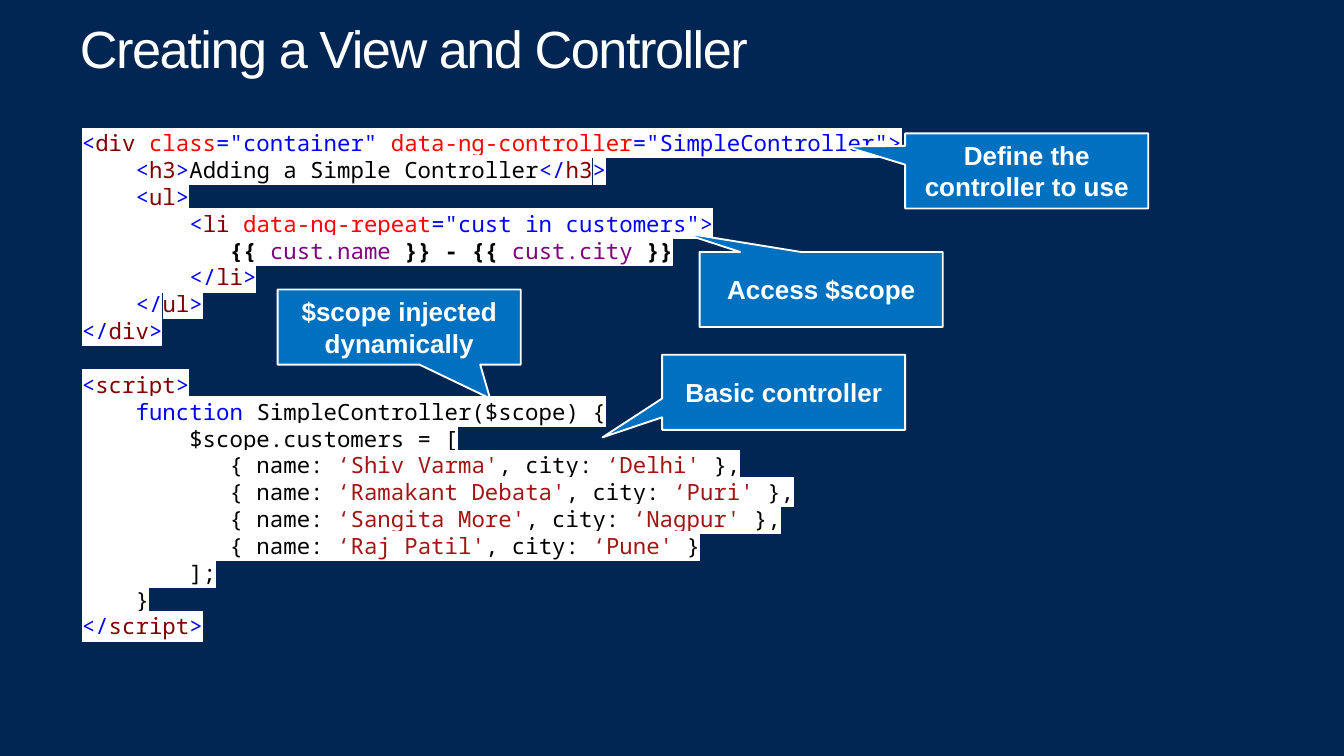
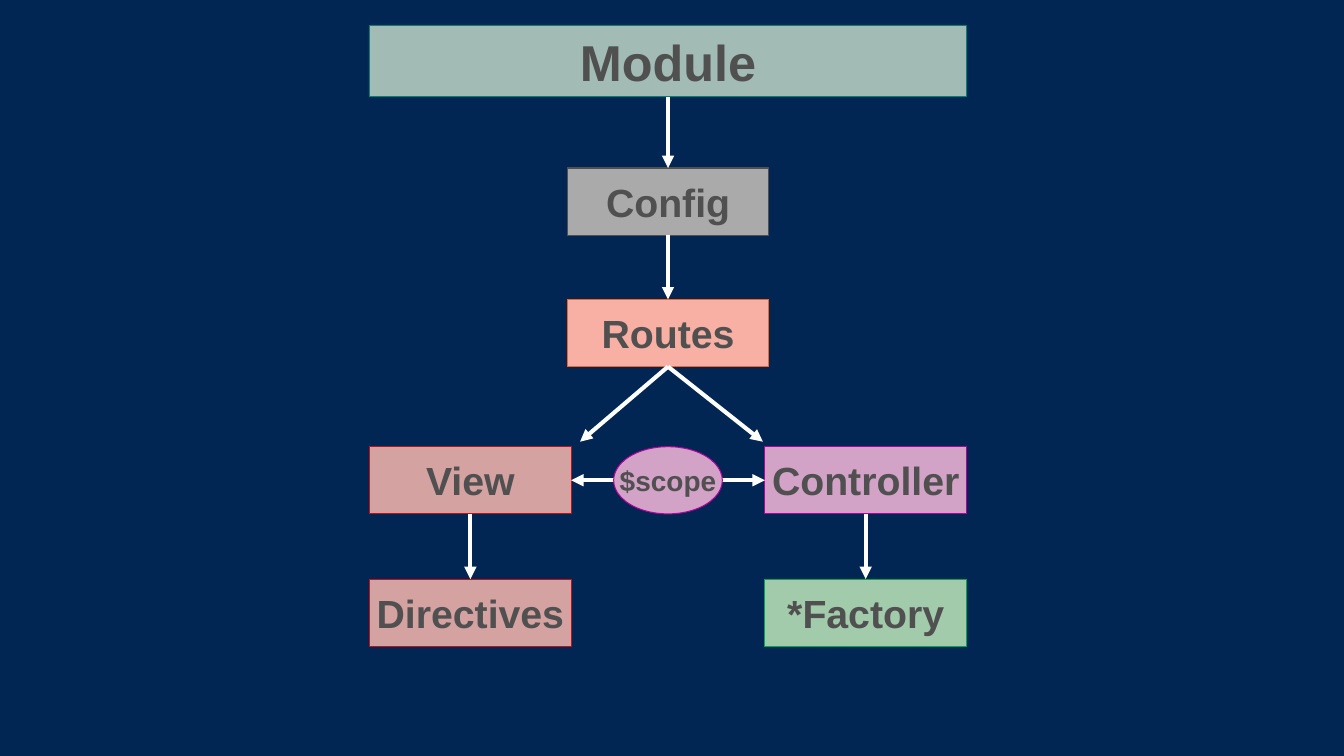
from lxml import etree
from pptx import Presentation
from pptx.dml.color import RGBColor
from pptx.enum.shapes import MSO_CONNECTOR, MSO_SHAPE
from pptx.enum.text import MSO_ANCHOR, PP_ALIGN
from pptx.oxml.ns import qn
from pptx.util import Inches, Pt

RECT, OVAL = MSO_SHAPE.RECTANGLE, MSO_SHAPE.OVAL
CALLOUT = MSO_SHAPE.RECTANGULAR_CALLOUT
STRAIGHT = MSO_CONNECTOR.STRAIGHT
CENTER, MIDDLE = PP_ALIGN.CENTER, MSO_ANCHOR.MIDDLE
TOP, LEFT, BOTTOM, RIGHT = range(4)

NAVY, WHITE, CALLOUT_BLUE, LABEL_GREY = "012654", "FFFFFF", "0070C0", "505050"
RED_BOX = ("D5A2A2", "BA141A")
PURPLE_BOX = ("D2A2C7", "B4009E")
GREEN_BOX = ("A2CBAB", "00A651")
ORANGE_BOX = ("F7B0A3", "F26522")
TEAL_BOX = ("A2BBB5", "008272")
GREY_BOX = ("AAAAAA", "505050")

# Syntax colours
PLAIN, MARK, TAG, ATTR = "000000", "0000FF", "800000", "FF0000"
BINDING, STRING = "800080", "A31515"

TITLE_FONT, CODE_FONT = "Arial", "Noto Sans Mono"
CODE_SIZE, SCRIPT_GAP = 16.3, 19.55

BOX_W, BOX_H = 2.04, 0.68
COLUMNS = (3.74, 5.74, 7.74)
CONFIG_Y, ROUTES_Y, VIEW_Y, HELPER_Y = 1.7, 3.03, 4.52, 5.86


def rgb(color):
    return RGBColor.from_string(color)


def add_slide(prs):
    slide = prs.slides.add_slide(prs.slide_layouts[6])
    slide.background.fill.solid()
    slide.background.fill.fore_color.rgb = rgb(NAVY)
    return slide


def add_run(paragraph, text, size, color, bold=False, font=TITLE_FONT, highlight=None):
    run = paragraph.add_run()
    run.text = text
    run.font.size, run.font.bold = Pt(size), bold
    run.font.color.rgb = rgb(color)
    if highlight:
        mark = etree.SubElement(run.font._element, qn("a:highlight"))
        etree.SubElement(mark, qn("a:srgbClr"), val=highlight)
    run.font.name = font
    return run


def add_text_box(slide, x, y, w, h):
    frame = slide.shapes.add_textbox(Inches(x), Inches(y), Inches(w), Inches(h)).text_frame
    frame.word_wrap = True
    return frame


def add_title(slide, text):
    frame = add_text_box(slide, 0.65, 0.14, 11.96, 0.85)
    frame.margin_left = frame.margin_right = Inches(0.16)
    frame.margin_top = frame.margin_bottom = Inches(0.1)
    frame.paragraphs[0].line_spacing = 0.9
    run = add_run(frame.paragraphs[0], text, 38.1, WHITE)
    run.font._element.set("spc", "-105")


def add_label_shape(slide, kind, x, y, w, h, colors, line_width, text, size, text_color, wrap):
    """Add a filled, outlined shape with a centred bold label."""
    shape = slide.shapes.add_shape(kind, Inches(x), Inches(y), Inches(w), Inches(h))
    shape.shadow.inherit = False
    fill, line = colors
    shape.fill.solid()
    shape.fill.fore_color.rgb = rgb(fill)
    shape.line.color.rgb = rgb(line)
    shape.line.width = Pt(line_width)
    frame = shape.text_frame
    frame.word_wrap, frame.vertical_anchor = wrap, MIDDLE
    frame.paragraphs[0].alignment = CENTER
    add_run(frame.paragraphs[0], text, size, text_color, bold=True)
    return shape


def add_callout(slide, x, y, text, tip):
    """Add a callout; tip is the pointer's offset from the centre, in widths and heights."""
    callout = add_label_shape(slide, CALLOUT, x, y, 2.46, 0.76, (CALLOUT_BLUE, WHITE),
                              1.35, text, 19, WHITE, True)
    callout.adjustments[0], callout.adjustments[1] = tip


def add_node(slide, x, y, text, colors, w=BOX_W, h=BOX_H, size=28.6, kind=RECT):
    return add_label_shape(slide, kind, x, y, w, h, colors, 0.75, text, size, LABEL_GREY, False)


def add_arrow(slide, source, source_side, target=None, target_side=TOP, tip=(0, 0), both=False):
    """Draw an arrow from a node's side to another node's side, or to the point tip."""
    arrow = slide.shapes.add_connector(STRAIGHT, 0, 0, Inches(tip[0]), Inches(tip[1]))
    arrow.begin_connect(source, source_side)
    if target is not None:
        arrow.end_connect(target, target_side)
    arrow.line.color.rgb = rgb(WHITE)
    arrow.line.width = Pt(3)
    line = arrow.line._get_or_add_ln()
    for end in ("a:headEnd", "a:tailEnd") if both else ("a:tailEnd",):
        etree.SubElement(line, qn(end), type="triangle")
    etree.SubElement(arrow._element.spPr, qn("a:effectLst"))


def tag(name, opening="<"):
    return [(opening, MARK), (name, TAG), (">", MARK)]


def closing(name):
    return tag(name, "</")


def indent(width):
    return (" " * width, PLAIN)


def customer(name, city, end):
    return [indent(11), ("{ name: ", PLAIN), (f"‘{name}'", STRING), (", city: ", PLAIN),
            (f"‘{city}'", STRING), (end, PLAIN)]


VIEW_CODE = [
    [("<", MARK), ("div", TAG), indent(1), ("class", ATTR), ('="container"', MARK), indent(1),
     ("data-ng-controller", ATTR), ('="SimpleController">', MARK)],
    [indent(4), *tag("h3"), ("Adding a Simple Controller", PLAIN), *closing("h3")],
    [indent(4), *tag("ul")],
    [indent(8), ("<", MARK), ("li", TAG), indent(1), ("data-ng-repeat", ATTR),
     ('="cust in customers">', MARK)],
    [indent(11), ("{{ ", PLAIN, True), ("cust.name ", BINDING), ("}} - {{ ", PLAIN, True),
     ("cust.city ", BINDING), ("}}", PLAIN, True)],
    [indent(8), *closing("li")],
    [indent(4), *closing("ul")],
    closing("div"),
]
CONTROLLER_CODE = [
    tag("script"),
    [indent(4), ("function", MARK), (" SimpleController($scope) {", PLAIN)],
    [indent(8), ("$scope.customers = [", PLAIN)],
    customer("Shiv Varma", "Delhi", " },"),
    customer("Ramakant Debata", "Puri", " },"),
    customer("Sangita More", "Nagpur", " },"),
    customer("Raj Patil", "Pune", " }"),
    [indent(8), ("];", PLAIN)],
    [indent(4), ("}", PLAIN)],
    closing("script"),
]


def add_code(slide):
    frame = add_text_box(slide, 0.73, 1.26, 9.09, 5.32)
    for number, line in enumerate(VIEW_CODE + CONTROLLER_CODE):
        paragraph = frame.add_paragraph() if number else frame.paragraphs[0]
        if number == len(VIEW_CODE):
            paragraph.space_before = Pt(SCRIPT_GAP)
        for text, color, *bold in line:
            add_run(paragraph, text, CODE_SIZE, color, bool(bold), CODE_FONT, WHITE)


def build_code_slide(prs):
    slide = add_slide(prs)
    add_code(slide)
    add_callout(slide, 9.16, 1.35, "Define the controller to use", (-0.745, -0.325))
    add_callout(slide, 6.7, 3.59, "Basic controller", (-0.745, 0.6))
    add_callout(slide, 2.81, 2.93, "$scope injected dynamically", (0.374, 0.951))
    add_callout(slide, 7.08, 2.55, "Access $scope", (-0.58, -0.761))
    add_title(slide, "Creating a View and Controller")


def build_module_slide(prs):
    slide = add_slide(prs)
    left, middle, right = COLUMNS
    module = add_node(slide, left, 0.26, "Module", TEAL_BOX, right + BOX_W - left, 0.72, 36.7)
    config = add_node(slide, middle, CONFIG_Y, "Config", GREY_BOX)
    routes = add_node(slide, middle, ROUTES_Y, "Routes", ORANGE_BOX)
    view = add_node(slide, left, VIEW_Y, "View", RED_BOX)
    controller = add_node(slide, right, VIEW_Y, "Controller", PURPLE_BOX)
    directives = add_node(slide, left, HELPER_Y, "Directives", RED_BOX)
    factory = add_node(slide, right, HELPER_Y, "*Factory", GREEN_BOX)

    for upper, lower in ((module, config), (config, routes),
                         (view, directives), (controller, factory)):
        add_arrow(slide, upper, BOTTOM, lower, TOP)
    for branch_x in (5.87, 7.72):
        add_arrow(slide, routes, BOTTOM, tip=(branch_x, 4.47))
    add_arrow(slide, controller, LEFT, view, RIGHT, both=True)
    add_node(slide, 6.21, VIEW_Y, "$scope", PURPLE_BOX, w=1.1, size=20.4, kind=OVAL)


def main():
    prs = Presentation()
    prs.slide_width, prs.slide_height = Inches(13.6), Inches(7.65)
    build_code_slide(prs)
    build_module_slide(prs)
    prs.save("out.pptx")


if __name__ == "__main__":
    main()
